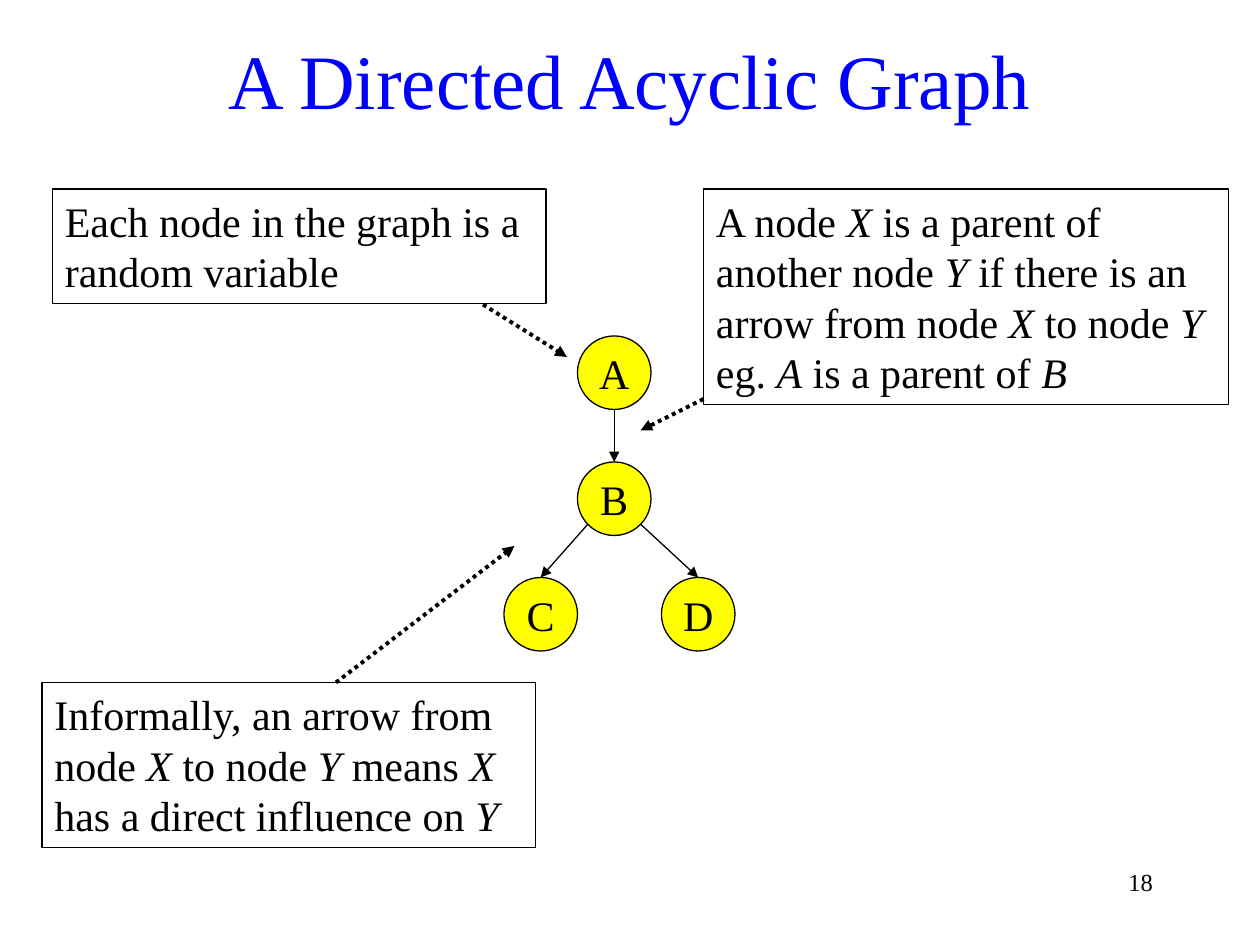
"""Build a slide that explains a directed acyclic graph."""
from dataclasses import dataclass

from lxml.etree import SubElement as Sub
from pptx import Presentation
from pptx.dml.color import RGBColor as Rgb
from pptx.enum.dml import MSO_LINE_DASH_STYLE as Dash
from pptx.enum.shapes import MSO_CONNECTOR as Link, MSO_SHAPE as Shape
from pptx.enum.text import MSO_ANCHOR as Anchor, MSO_AUTO_SIZE as Fit, PP_ALIGN as Align
from pptx.oxml.ns import qn
from pptx.util import Pt


@dataclass(frozen=True)
class Theme:
    font: str = "Times New Roman"
    ink: Rgb = Rgb(0, 0, 0)
    blue: Rgb = Rgb(0, 0, 255)
    gold: Rgb = Rgb(255, 255, 0)
    head: int = 44
    body: int = 24
    foot: int = 14
    thin: float = 0.75
    bold: float = 2.25


THEME = Theme()
SIDE = 42
NODES = {"A": (330, 192), "B": (330, 264), "C": (288, 330), "D": (378, 330)}
EDGES = [("A", "B", 0, 42), ("B", "C", -15, 35.5), ("B", "D", 15, 35.5)]
NOTES = [
    ("Each node in the graph is a random variable", (30, 108, 282, 65.5)),
    ("A node *X* is a parent of another node *Y* if there is an arrow "
     "from node *X* to node *Y* eg. *A* is a parent of *B*", (402, 108, 300, 123)),
    ("Informally, an arrow from node *X* to node *Y* means *X* "
     "has a direct influence on *Y*", (24, 390, 282, 94.5)),
]
HINTS = [(276, 174, 324, 204), (402, 228, 366, 246), (192, 390, 294, 312)]


def write(frame, text, size=THEME.body, color=THEME.ink, align=Align.LEFT,
          anchor=Anchor.TOP, wrap=True, fit=Fit.NONE):
    frame.word_wrap, frame.auto_size = wrap, fit
    frame.vertical_anchor = anchor
    para = frame.paragraphs[0]
    para.alignment = align
    for spot, part in enumerate(text.split("*")):
        if part:
            run = para.add_run()
            run.text = part
            font = run.font
            font.name, font.size = THEME.font, Pt(size)
            font.color.rgb = color
            font.italic = spot % 2 == 1


def add_form(slide, kind, area, fill=None):
    form = slide.shapes.add_shape(kind, *map(Pt, area))
    form.shadow.inherit = False
    if fill is None:
        form.fill.background()
    else:
        form.fill.solid()
        form.fill.fore_color.rgb = fill
    form.line.color.rgb = THEME.ink
    form.line.width = Pt(THEME.thin)
    return form.text_frame


def add_arrow(slide, ends, width=THEME.thin, dash=None):
    arrow = slide.shapes.add_connector(Link.STRAIGHT, *map(Pt, ends))
    line = arrow.line
    line.color.rgb, line.width = THEME.ink, Pt(width)
    if dash is not None:
        line.dash_style = dash
    props = arrow._element.spPr
    Sub(props.find(qn("a:ln")), qn("a:tailEnd"), type="triangle")
    Sub(props, qn("a:effectLst"))


def add_title(slide, text, area):
    title = slide.shapes.title
    title.left, title.top, title.width, title.height = map(Pt, area)
    write(title.text_frame, text, size=THEME.head, color=THEME.blue,
          align=Align.CENTER, anchor=Anchor.MIDDLE)


def add_graph(slide):
    for name, (left, top) in NODES.items():
        frame = add_form(slide, Shape.OVAL, (left, top, SIDE, SIDE), THEME.gold)
        write(frame, name, align=Align.CENTER, anchor=Anchor.MIDDLE, wrap=False)
    for start, end, shift, drop in EDGES:
        (left, top), (goal, low) = NODES[start], NODES[end]
        add_arrow(slide, (left + SIDE / 2 + shift, top + drop, goal + SIDE / 2, low))


def main():
    deck = Presentation()
    deck.slide_width, deck.slide_height = Pt(720), Pt(540)
    slide = deck.slides.add_slide(deck.slide_layouts[5])
    add_title(slide, "A Directed Acyclic Graph", (54, 12, 612, 66))
    add_graph(slide)
    for text, area in NOTES:
        write(add_form(slide, Shape.RECTANGLE, area), text, fit=Fit.SHAPE_TO_FIT_TEXT)
    for ends in HINTS:
        add_arrow(slide, ends, width=THEME.bold, dash=Dash.ROUND_DOT)
    page = slide.shapes.add_textbox(*map(Pt, (588, 492, 78, 36)))
    write(page.text_frame, "18", size=THEME.foot, align=Align.RIGHT)
    deck.save("out.pptx")


if __name__ == "__main__":
    main()
